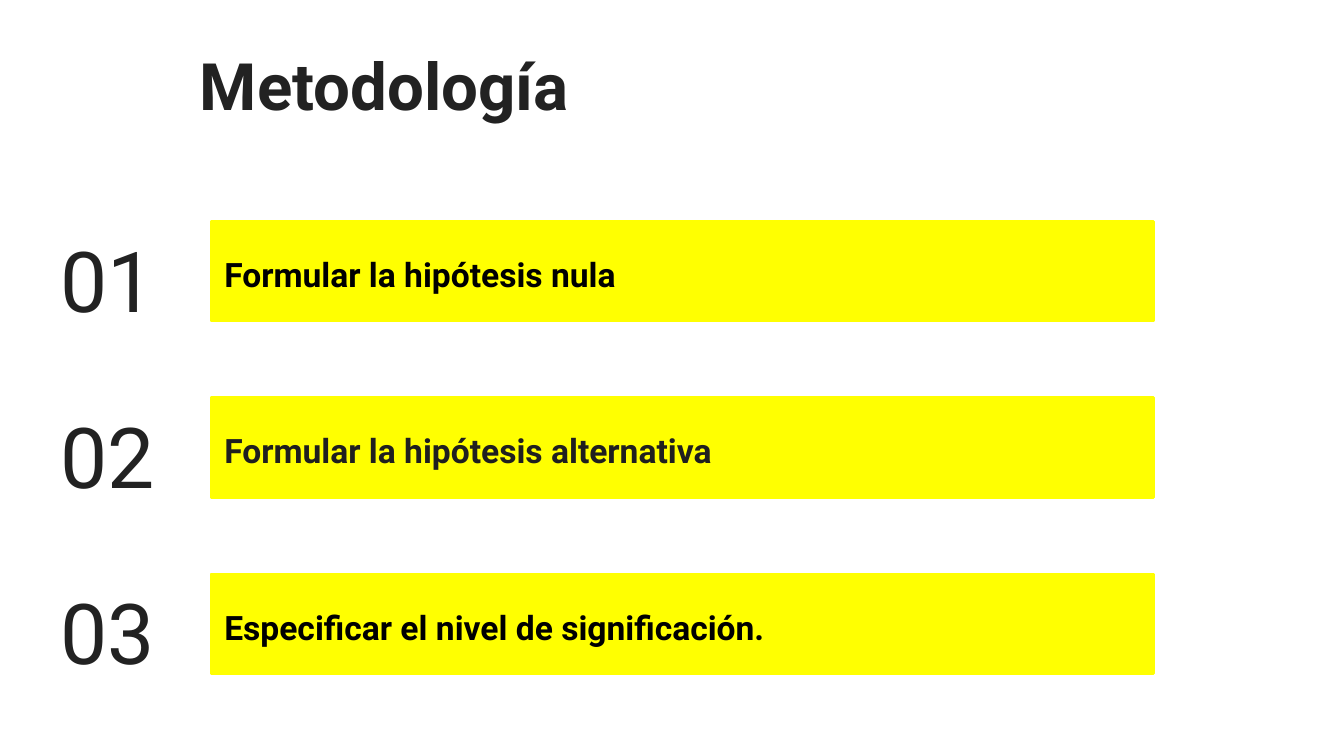
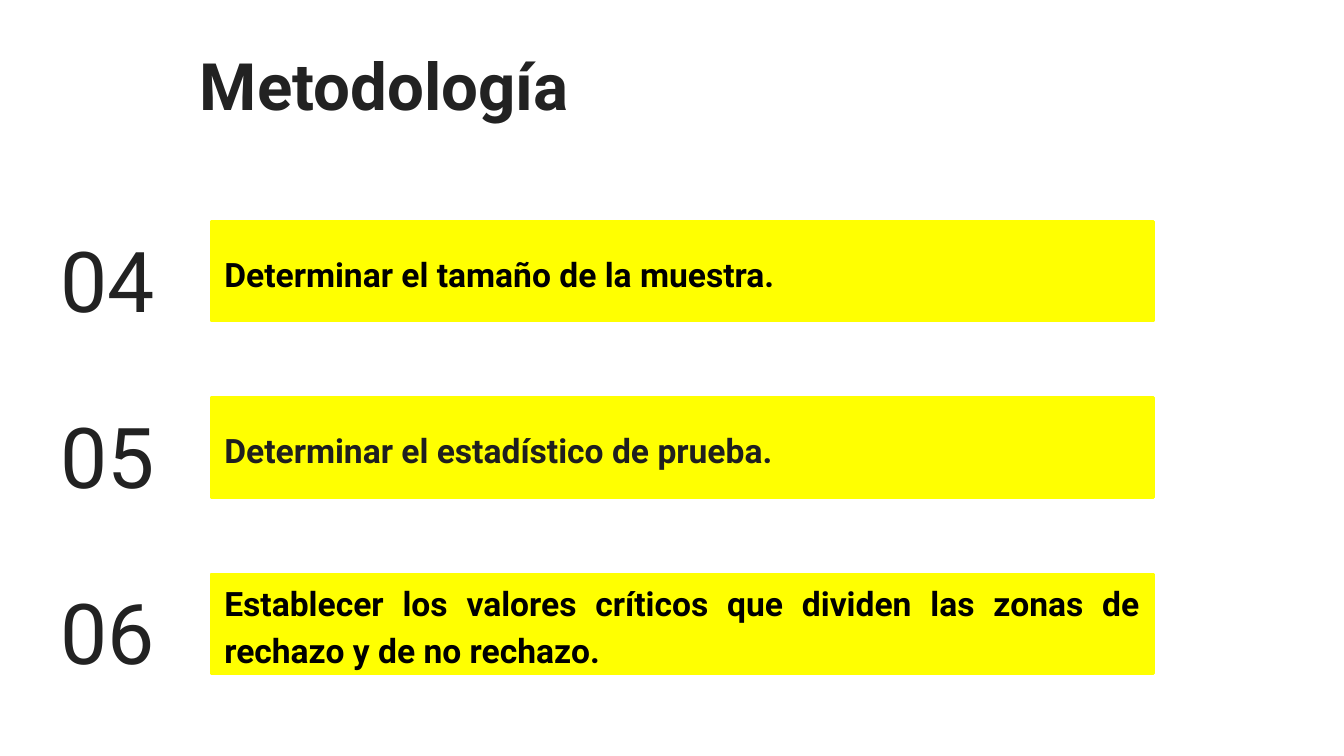
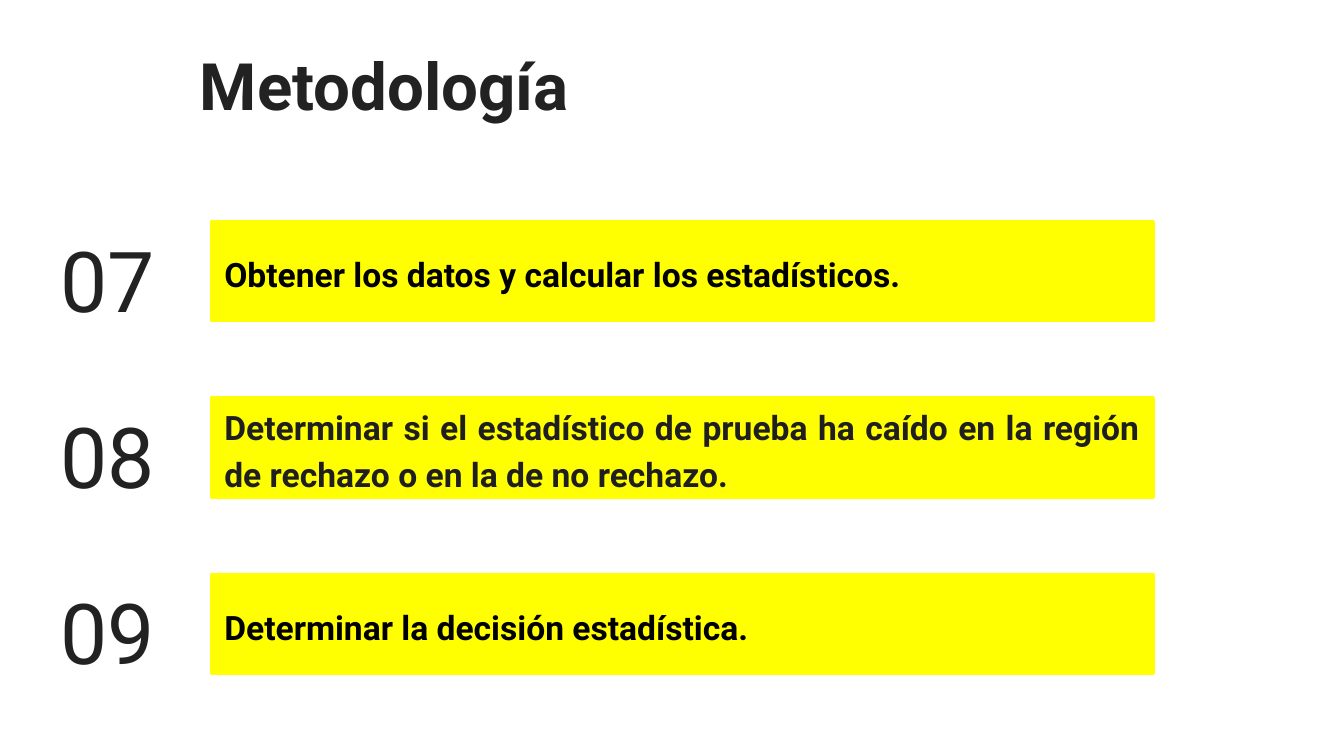
import pptx
import pptx.dml.color
import pptx.enum.shapes
import pptx.enum.text
import pptx.util

Cm = pptx.util.Cm
Pt = pptx.util.Pt
Align = pptx.enum.text.PP_ALIGN

COLORS = {
    "back": "FFFFFF",
    "ink": "222222",
    "bar": "FFFF01",
    "odd": "000000",
    "even": "1F1F1F",
}

TITLE = "Metodología"
STEPS = [
    "Formular la hipótesis nula",
    "Formular la hipótesis alternativa",
    "Especificar el nivel de significación.",
    "Determinar el tamaño de la muestra.",
    "Determinar el estadístico de prueba.",
    "Establecer los valores críticos que dividen las zonas de rechazo y de no rechazo.",
    "Obtener los datos y calcular los estadísticos.",
    "Determinar si el estadístico de prueba ha caído en la región de rechazo "
    "o en la de no rechazo.",
    "Determinar la decisión estadística.",
]
ROWS = 3      # steps on each slide
TOP = 4.19    # top of the first row, cm
PITCH = 3.33  # from one row to the next, cm
HIGH = 1.88   # height of a row, cm


class Deck:
    font = "Roboto"

    def __init__(self):
        self.prs = pptx.Presentation()
        self.prs.slide_width = Cm(25.4)
        self.prs.slide_height = Cm(14.29)
        self.slide = None

    def color(self, name):
        return pptx.dml.color.RGBColor.from_string(COLORS[name])

    def paint(self, fill, name):
        fill.solid()
        fill.fore_color.rgb = self.color(name)

    def page(self):
        self.slide = self.prs.slides.add_slide(self.prs.slide_layouts[6])
        self.paint(self.slide.background.fill, "back")

    def label(self, shape, text, size, color, bold=False, align=Align.LEFT, lead=1.0):
        frame = shape.text_frame
        frame.word_wrap = True
        frame.vertical_anchor = pptx.enum.text.MSO_ANCHOR.MIDDLE
        frame.margin_left = frame.margin_right = Cm(0.25)
        frame.margin_top = frame.margin_bottom = Cm(0.25)
        para = frame.paragraphs[0]
        para.text = text
        para.alignment = align
        para.line_spacing = lead
        para.font.name = self.font
        para.font.size = Pt(size)
        para.font.bold = bold
        para.font.color.rgb = self.color(color)

    def title(self, text):
        box = self.slide.shapes.add_textbox(Cm(3.53), Cm(0.41), Cm(19.35), Cm(2.36))
        self.label(box, text, 35, "ink", bold=True)

    def bar(self, group, top, text, color):
        rect = group.shapes.add_shape(
            pptx.enum.shapes.MSO_SHAPE.RECTANGLE,
            Cm(3.99), Cm(top), Cm(17.81), Cm(HIGH))
        rect.shadow.inherit = False
        self.paint(rect.fill, "bar")
        self.paint(rect.line.fill, "bar")
        rect.line.width = Pt(1.5)
        self.label(rect, text, 18, color, bold=True, align=Align.JUSTIFY, lead=1.15)

    def number(self, group, top, value):
        box = group.shapes.add_textbox(Cm(0.56), Cm(top), Cm(2.95), Cm(HIGH))
        self.label(box, f"{value:02d}", 45, "ink", align=Align.CENTER, lead=1.15)

    def step(self, row, value, text):
        """Add one numbered row as a group."""
        top = TOP + row * PITCH
        group = self.slide.shapes.add_group_shape()
        self.bar(group, top, text, "even" if row % 2 else "odd")
        self.number(group, top, value)


def main():
    deck = Deck()
    for first in range(0, len(STEPS), ROWS):
        deck.page()
        deck.title(TITLE)
        for row, text in enumerate(STEPS[first:first + ROWS]):
            deck.step(row, first + row + 1, text)
    deck.prs.save("out.pptx")


if __name__ == "__main__":
    main()
